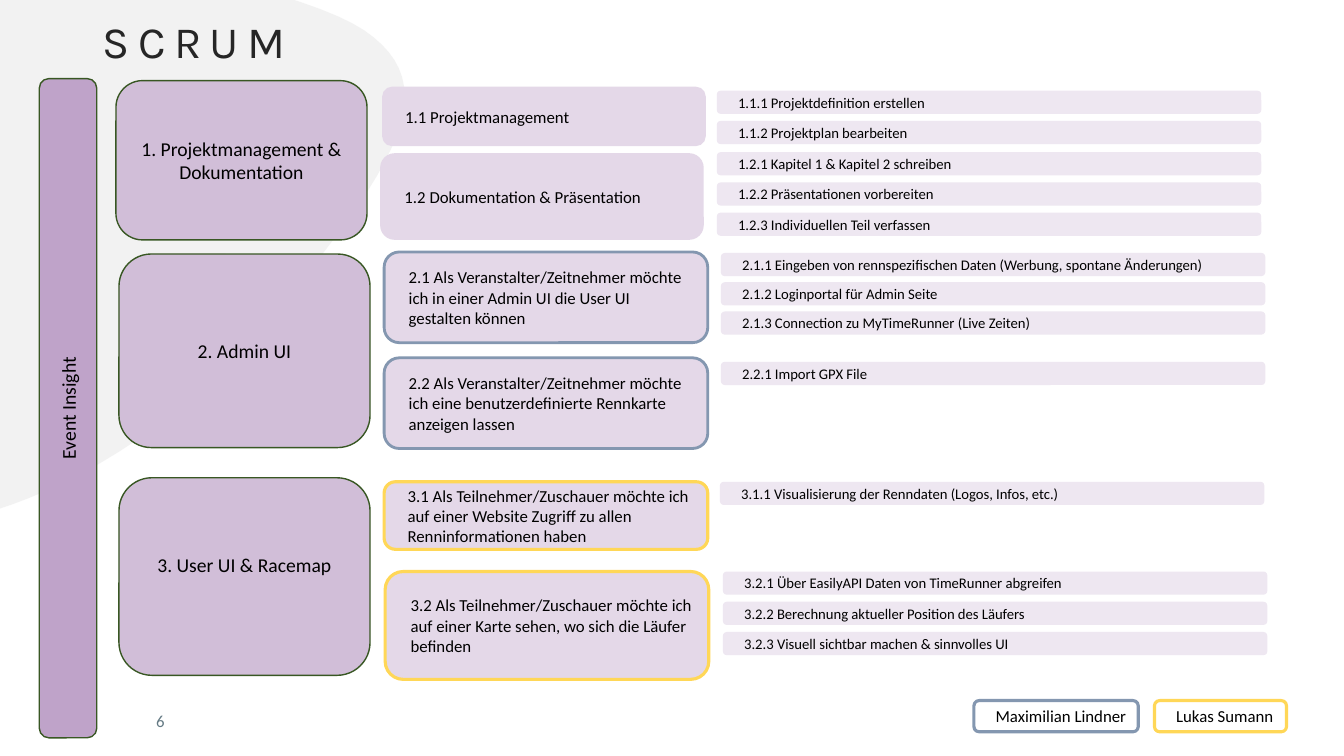
from dataclasses import dataclass
from typing import Optional

from lxml import etree
from pptx import Presentation
from pptx.dml.color import RGBColor
from pptx.enum import shapes, text
from pptx.oxml import ns
from pptx.util import Inches, Pt


@dataclass(frozen=True)
class Theme:
    body_font: str = "Calibri"
    title_font: str = "Karla"
    ink: str = "000000"
    title_ink: str = "262626"
    number_ink: str = "647A84"
    backdrop: str = "E7E7E7"
    project: str = "BFA3C9"
    epic: str = "D1BED8"
    story: str = "E4D8E8"
    task: str = "EEE7F1"
    white: str = "FFFFFF"
    green: str = "385723"
    blue: str = "8497B0"
    yellow: str = "FFD757"
    title_size: float = 32
    epic_size: float = 14
    story_size: float = 12
    task_size: float = 10.5


THEME = Theme()
TASK_WIDTH, TASK_HEIGHT = 5.4, 0.23
STORY_WIDTH = 3.21
EPIC_WIDTH = 2.49
CURVE_STEPS = 24


@dataclass(frozen=True)
class Box:
    label: str
    left: float
    top: float
    width: float
    height: float
    fill: str
    size: float
    line: Optional[str] = None
    line_width: float = 1
    centered: bool = False
    bottom_inset: float = 0.05
    vertical: bool = False


@dataclass(frozen=True)
class Epic:
    label: str
    left: float
    top: float
    height: float
    bottom_inset: float = 0.05


@dataclass(frozen=True)
class Story:
    label: str
    left: float
    top: float
    height: float
    task_left: float
    task_top: float
    task_pitch: float
    tasks: tuple[str, ...]
    line: Optional[str] = None
    line_width: float = 2.25


EPICS = (
    Epic("1. Projektmanagement & Dokumentation", 1.15, 0.8, 1.58),
    Epic("2. Admin UI", 1.18, 2.52, 1.92),
    Epic("3. User UI & Racemap", 1.18, 4.74, 1.96, bottom_inset=0.29),
)

STORIES = (
    Story("1.1 Projektmanagement", 3.79, 0.86, 0.59, 7.11, 0.9, 0.3,
          ("1.1.1 Projektdefinition erstellen", "1.1.2 Projektplan bearbeiten")),
    Story("1.2 Dokumentation & Präsentation", 3.77, 1.52, 0.86, 7.11, 1.51, 0.3,
          ("1.2.1 Kapitel 1 & Kapitel 2 schreiben",
           "1.2.2 Präsentationen vorbereiten",
           "1.2.3 Individuellen Teil verfassen")),
    Story("2.1 Als Veranstalter/Zeitnehmer möchte ich in einer Admin UI die User UI gestalten können",
          3.81, 2.5, 0.9, 7.15, 2.51, 0.29,
          ("2.1.1 Eingeben von rennspezifischen Daten (Werbung, spontane Änderungen)",
           "2.1.2 Loginportal für Admin Seite",
           "2.1.3 Connection zu MyTimeRunner (Live Zeiten)"), THEME.blue, 2),
    Story("2.2 Als Veranstalter/Zeitnehmer möchte ich eine benutzerdefinierte Rennkarte anzeigen lassen",
          3.81, 3.55, 0.9, 7.15, 3.59, 0.3, ("2.2.1 Import GPX File",), THEME.blue, 2),
    Story("3.1 Als Teilnehmer/Zuschauer möchte ich auf einer Website Zugriff zu allen Renninformationen haben",
          3.81, 4.78, 0.67, 7.14, 4.78, 0.3,
          ("3.1.1 Visualisierung der Renndaten (Logos, Infos, etc.)",), THEME.yellow),
    Story("3.2 Als Teilnehmer/Zuschauer möchte ich auf einer Karte sehen, wo sich die Läufer befinden",
          3.82, 5.67, 1.07, 7.17, 5.67, 0.3,
          ("3.2.1 Über EasilyAPI Daten von TimeRunner abgreifen",
           "3.2.2 Berechnung aktueller Position des Läufers",
           "3.2.3 Visuell sichtbar machen & sinnvolles UI"), THEME.yellow),
)

LEGEND = (
    Box("Maximilian Lindner", 9.66, 6.95, 1.63, 0.31, THEME.white, THEME.story_size, THEME.blue, 2.25),
    Box("Lukas Sumann", 11.45, 6.95, 1.31, 0.31, THEME.white, THEME.story_size, THEME.yellow, 2.25),
)

BACKDROP_START = (2.63, 3.22)
BACKDROP_CURVES = (
    ((1.28, 4.82), (-0.56, 5.37), (-1.12, 5.16)),
    ((-1.67, 4.94), (-0.49, 2.8), (-0.68, 1.92)),
    ((-0.87, 1.05), (-3.79, 1.03), (-2.25, -0.09)),
    ((-1.04, -0.97), (2.79, -0.25), (3.61, 0.3)),
    ((4.42, 0.85), (3.97, 1.62), BACKDROP_START),
)


def style_paragraph(paragraph, font_name: str, size: float, color: str) -> None:
    paragraph.font.name = font_name
    paragraph.font.size = Pt(size)
    paragraph.font.color.rgb = RGBColor.from_string(color)


def draw_backdrop(slide) -> None:
    points = []
    start = BACKDROP_START
    for first, second, end in BACKDROP_CURVES:
        for step in range(1, CURVE_STEPS + 1):
            t = step / CURVE_STEPS
            weights = ((1 - t) ** 3, 3 * t * (1 - t) ** 2, 3 * t * t * (1 - t), t ** 3)
            corners = (start, first, second, end)
            points.append(tuple(Inches(sum(w * c[axis] for w, c in zip(weights, corners)))
                                for axis in (0, 1)))
        start = end
    builder = slide.shapes.build_freeform(Inches(BACKDROP_START[0]), Inches(BACKDROP_START[1]))
    builder.add_line_segments(points, close=True)
    shape = builder.convert_to_shape()
    shape.shadow.inherit = False
    shape.line.fill.background()
    shape.fill.solid()
    shape.fill.fore_color.rgb = RGBColor.from_string(THEME.backdrop)
    color = shape.element.spPr.find(".//" + ns.qn("a:srgbClr"))
    etree.SubElement(color, ns.qn("a:alpha")).set("val", "53000")


def draw_box(slide, box: Box) -> None:
    shape = slide.shapes.add_shape(
        shapes.MSO_SHAPE.ROUNDED_RECTANGLE,
        Inches(box.left), Inches(box.top), Inches(box.width), Inches(box.height))
    shape.shadow.inherit = False
    shape.fill.solid()
    shape.fill.fore_color.rgb = RGBColor.from_string(box.fill)
    if box.line:
        shape.line.color.rgb = RGBColor.from_string(box.line)
        shape.line.width = Pt(box.line_width)
    else:
        shape.line.fill.background()
    frame = shape.text_frame
    frame.word_wrap = True
    frame.vertical_anchor = text.MSO_ANCHOR.MIDDLE
    frame.margin_left = Inches(0.1 if box.centered else 0.2)
    frame.margin_bottom = Inches(box.bottom_inset)
    if box.vertical:
        shape.element.txBody.bodyPr.set("vert", "vert270")
    paragraph = frame.paragraphs[0]
    paragraph.text = box.label
    paragraph.alignment = text.PP_ALIGN.CENTER if box.centered else text.PP_ALIGN.LEFT
    style_paragraph(paragraph, THEME.body_font, box.size, THEME.ink)


def add_label(slide, label: str, top: float, width: float, height: float):
    shape = slide.shapes.add_textbox(Inches(0.92), Inches(top), Inches(width), Inches(height))
    shape.text_frame.word_wrap = True
    shape.text_frame.vertical_anchor = text.MSO_ANCHOR.MIDDLE
    paragraph = shape.text_frame.paragraphs[0]
    paragraph.text = label
    return paragraph


def main() -> None:
    presentation = Presentation()
    presentation.slide_width, presentation.slide_height = Inches(13.33), Inches(7.5)
    slide = presentation.slides.add_slide(presentation.slide_layouts[6])
    draw_backdrop(slide)

    title = add_label(slide, "SCRUM", 0.03, 11.5, 0.81)
    title.line_spacing = 0.9
    style_paragraph(title, THEME.title_font, THEME.title_size, THEME.title_ink)
    title.runs[0].font._element.set("spc", "600")
    number = add_label(slide, "6", 6.95, 0.81, 0.4)
    number.alignment = text.PP_ALIGN.RIGHT
    style_paragraph(number, THEME.body_font, THEME.story_size, THEME.number_ink)

    boxes = [Box("Event Insight", 0.39, 0.78, 0.57, 6.54, THEME.project, THEME.epic_size,
                 THEME.green, centered=True, vertical=True)]
    for epic in EPICS:
        boxes.append(Box(epic.label, epic.left, epic.top, EPIC_WIDTH, epic.height, THEME.epic,
                         THEME.epic_size, THEME.green, centered=True, bottom_inset=epic.bottom_inset))
    for story in STORIES:
        boxes.append(Box(story.label, story.left, story.top, STORY_WIDTH, story.height,
                         THEME.story, THEME.story_size, story.line, story.line_width))
        for index, task in enumerate(story.tasks):
            boxes.append(Box(task, story.task_left, story.task_top + index * story.task_pitch,
                             TASK_WIDTH, TASK_HEIGHT, THEME.task, THEME.task_size))
    boxes.extend(LEGEND)
    for box in boxes:
        draw_box(slide, box)
    presentation.save("out.pptx")


if __name__ == "__main__":
    main()
